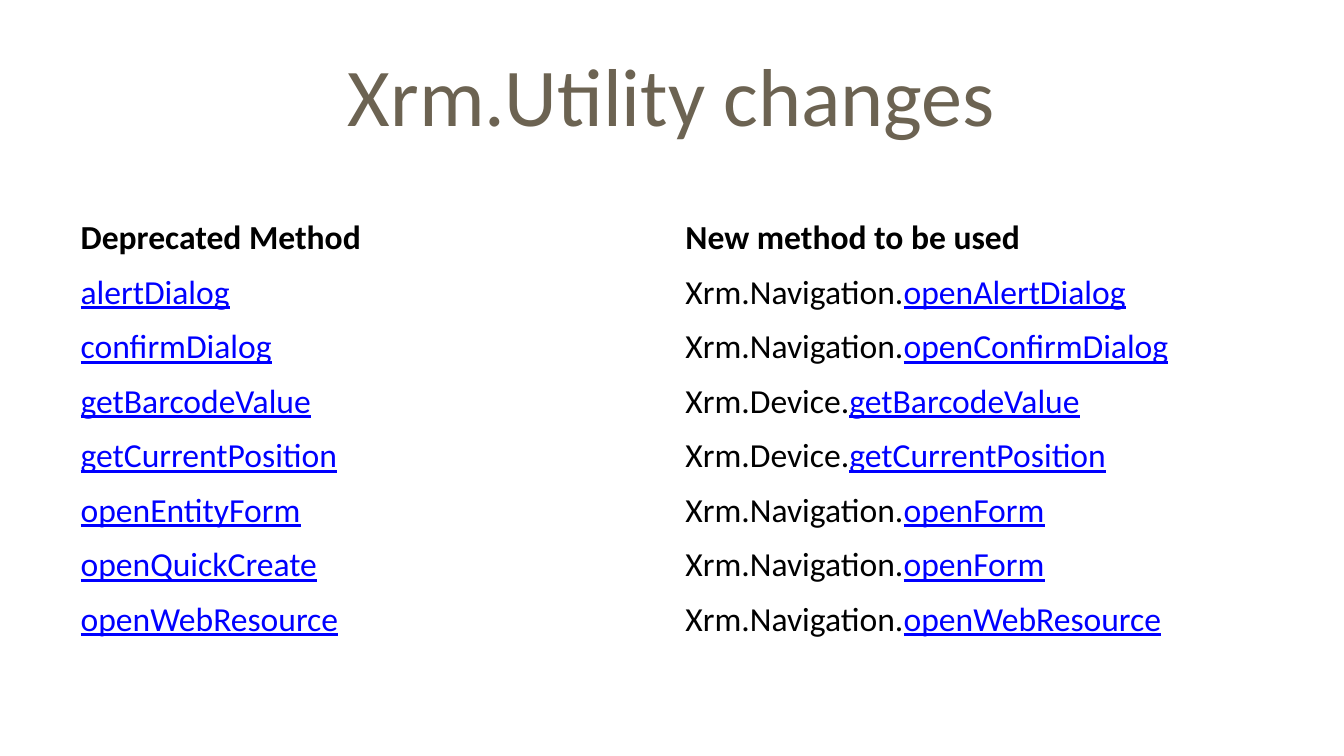
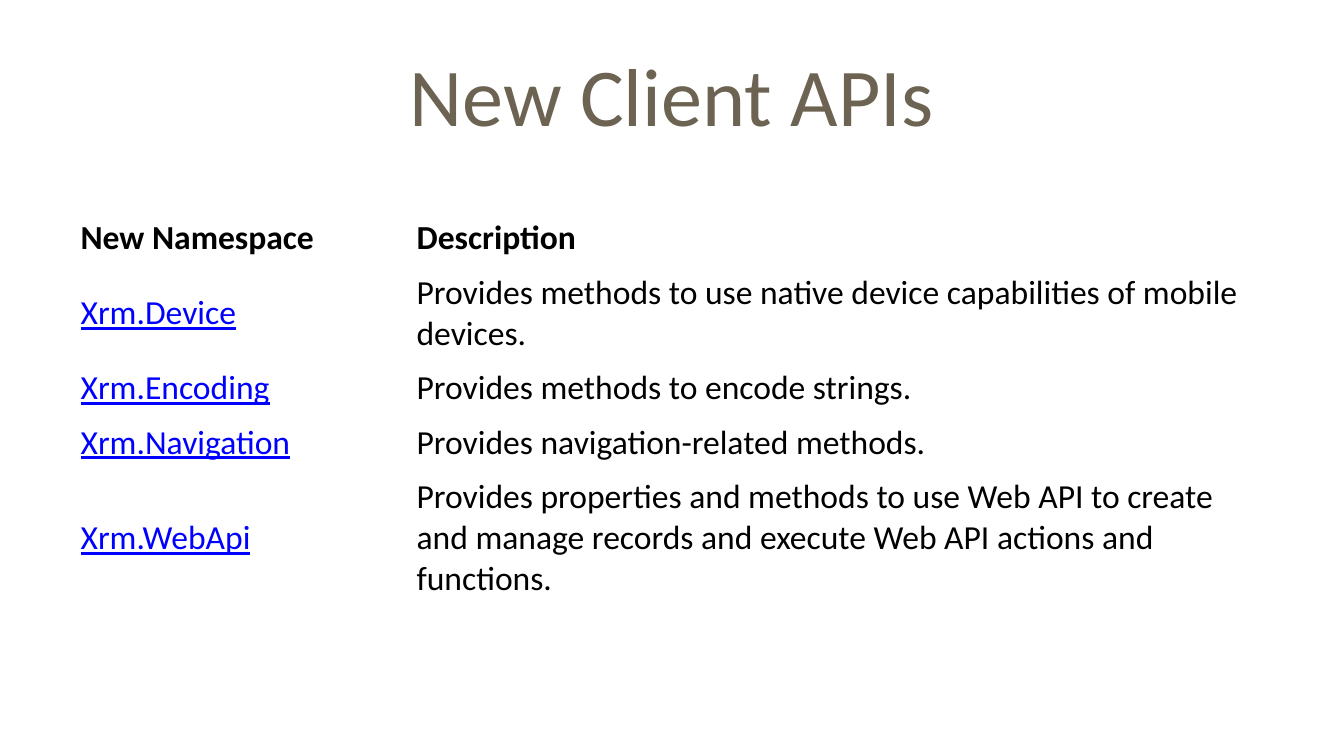
from pptx import Presentation
from pptx.dml.color import RGBColor
from pptx.enum.text import MSO_ANCHOR, PP_ALIGN
from pptx.util import Pt

MIDDLE = MSO_ANCHOR.MIDDLE
CENTER = PP_ALIGN.CENTER

FONT = "Calibri"
TITLE_COLOR = "6C6352"
TEXT_COLOR = "000000"
LINK_COLOR = "0000FF"

SLIDE_SIZE = (720, 405)
TITLE_BOX = (36, 16.5, 648, 67.5)
TABLE_BOX = (36, 113, 648)
LINE_HEIGHT = 22
ROW_PADDING = 7.2

METHOD_HEADER = ("Deprecated Method", "New method to be used")
METHODS = [
    ("alertDialog", "Xrm.Navigation.", "openAlertDialog"),
    ("confirmDialog", "Xrm.Navigation.", "openConfirmDialog"),
    ("getBarcodeValue", "Xrm.Device.", "getBarcodeValue"),
    ("getCurrentPosition", "Xrm.Device.", "getCurrentPosition"),
    ("openEntityForm", "Xrm.Navigation.", "openForm"),
    ("openQuickCreate", "Xrm.Navigation.", "openForm"),
    ("openWebResource", "Xrm.Navigation.", "openWebResource"),
]

NAMESPACE_HEADER = ("New Namespace", "Description")
NAMESPACES = [
    ("Xrm.Device", "Provides methods to use native device capabilities of mobile devices.", 2),
    ("Xrm.Encoding", "Provides methods to encode strings.", 1),
    ("Xrm.Navigation", "Provides navigation-related methods.", 1),
    ("Xrm.WebApi", "Provides properties and methods to use Web API to create and manage "
                   "records and execute Web API actions and functions.", 3),
]


def color(value):
    """Return the colour for a hex string."""
    return RGBColor.from_string(value)


def style_paragraph(paragraph, size, hex_color, bold=False):
    """Set the font that all runs of a paragraph share."""
    font = paragraph.font
    font.name = FONT
    font.size = Pt(size)
    font.bold = bold
    font.color.rgb = color(hex_color)


def add_title(slide, box, text):
    """Place the centred slide title in the given box."""
    frame = slide.shapes.add_textbox(*map(Pt, box)).text_frame
    frame.word_wrap = True
    frame.vertical_anchor = MIDDLE
    paragraph = frame.paragraphs[0]
    paragraph.text = text
    paragraph.alignment = CENTER
    style_paragraph(paragraph, 44, TITLE_COLOR)


def fill_cell(cell, plain, link="", bold=False):
    """Write plain text followed by link-styled text into a clear cell."""
    cell.fill.background()
    cell.vertical_anchor = MIDDLE
    paragraph = cell.text_frame.paragraphs[0]
    style_paragraph(paragraph, 18, TEXT_COLOR, bold)
    if plain:
        paragraph.add_run().text = plain
    if link:
        run = paragraph.add_run()
        run.text = link
        run.font.underline = True
        run.font.color.rgb = color(LINK_COLOR)


def add_table(slide, box, shares, header, rows, line_counts):
    """Place a borderless table whose rows hold (plain, link) cells."""
    left, top, width = box
    heights = [ROW_PADDING + LINE_HEIGHT * count for count in (1, *line_counts)]
    table = slide.shapes.add_table(
        len(heights), len(shares), Pt(left), Pt(top), Pt(width), Pt(sum(heights))).table
    table.first_row = False
    table.horz_banding = False
    for column, share in zip(table.columns, shares):
        column.width = Pt(width * share / sum(shares))
    for row, height in zip(table.rows, heights):
        row.height = Pt(height)
    for index, text in enumerate(header):
        fill_cell(table.cell(0, index), text, bold=True)
    for row_index, cells in enumerate(rows, 1):
        for index, (plain, link) in enumerate(cells):
            fill_cell(table.cell(row_index, index), plain, link)


def add_table_slide(presentation, title, shares, header, rows, line_counts):
    """Add a slide with a title above a table."""
    slide = presentation.slides.add_slide(presentation.slide_layouts[6])
    add_title(slide, TITLE_BOX, title)
    add_table(slide, TABLE_BOX, shares, header, rows, line_counts)


def main():
    """Build and save the presentation."""
    presentation = Presentation()
    presentation.slide_width, presentation.slide_height = map(Pt, SLIDE_SIZE)
    add_table_slide(
        presentation, "Xrm.Utility changes", (1, 1), METHOD_HEADER,
        [(("", old), (prefix, new)) for old, prefix, new in METHODS],
        [1] * len(METHODS))
    add_table_slide(
        presentation, "New Client APIs", (2.5, 6.5), NAMESPACE_HEADER,
        [(("", name), (description, "")) for name, description, _ in NAMESPACES],
        [count for _, _, count in NAMESPACES])
    presentation.save("out.pptx")


if __name__ == "__main__":
    main()
